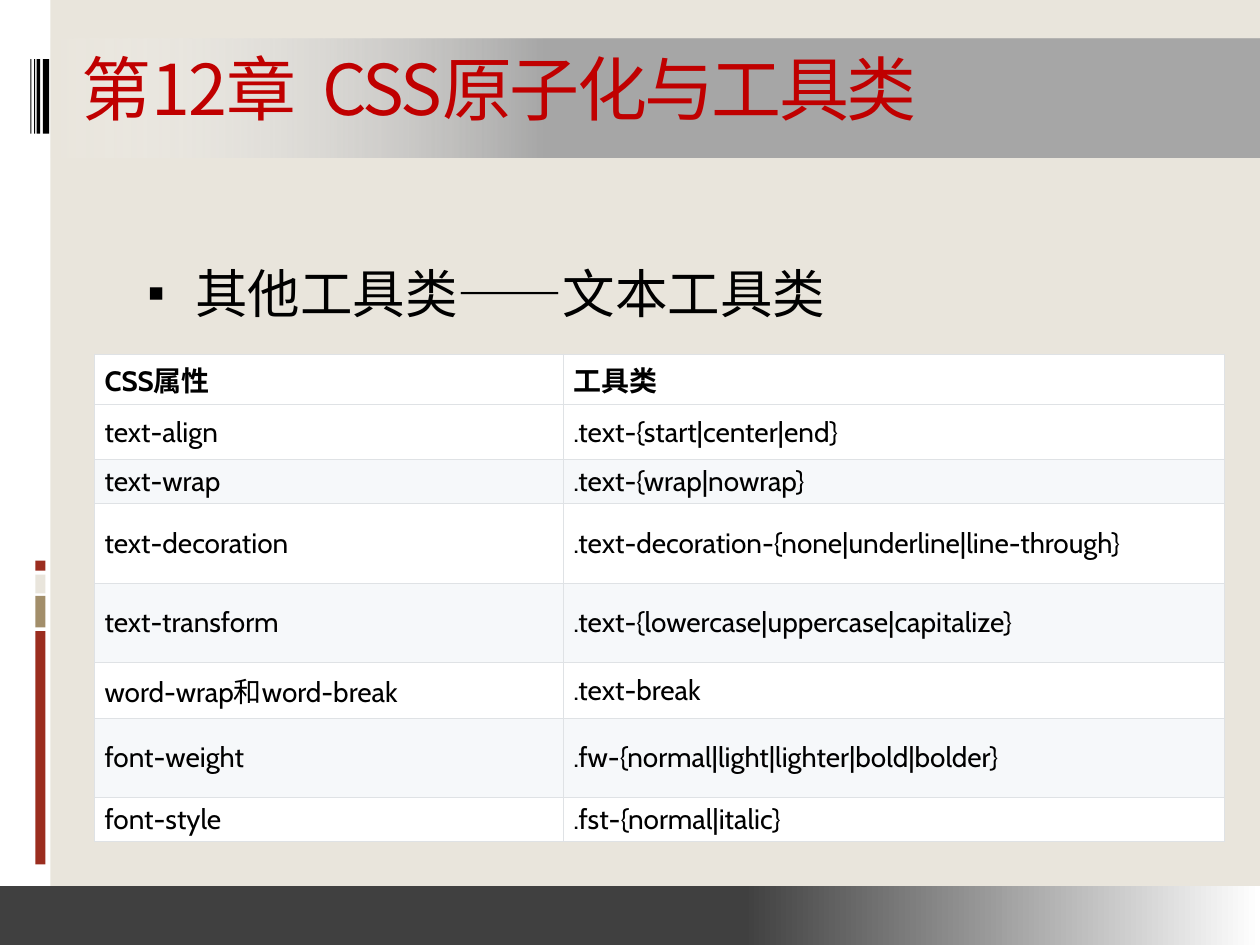
import dataclasses
import typing

import lxml.etree
import pptx
import pptx.dml.color
import pptx.enum.shapes
import pptx.enum.text
import pptx.oxml.ns
import pptx.util

COLORS = {
    "background": "E9E5DC", "white": "FFFFFF", "black": "000000",
    "brick": "9B2D1F", "tan": "A28E6A", "title": "C00000",
    "band": "A6A6A6", "footer": "404040", "stripe": "F6F8FA", "border": "DFE2E5",
}
LATIN_FONT = "Cabin"
CHINESE_FONT = "Noto Sans CJK SC"
ROWS = [
    ("CSS属性", "工具类", 1),
    ("text-align", ".text-{start|center|end}", 1.76),
    ("text-wrap", ".text-{wrap|nowrap}", 1),
    ("text-decoration", ".text-decoration-{none|underline|line-through}", 2.52),
    ("text-transform", ".text-{lowercase|uppercase|capitalize}", 2.52),
    ("word-wrap和word-break", ".text-break", 1.76),
    ("font-weight", ".fw-{normal|light|lighter|bold|bolder}", 2.52),
    ("font-style", ".fst-{normal|italic}", 1),
]


def grid(units):
    """Convert units of a 40 by 30 grid to slide lengths."""
    return pptx.util.Inches(units * 0.25)


def rgb(name):
    """Return a named color."""
    return pptx.dml.color.RGBColor.from_string(COLORS[name])


def add_element(parent, tag, **attributes):
    """Append a drawing element to its parent."""
    return lxml.etree.SubElement(parent, pptx.oxml.ns.qn(tag), **attributes)


def write_text(frame, text, *, size, color="black", font=LATIN_FONT, bold=False, spacing=None):
    """Write one formatted paragraph and return it."""
    frame.word_wrap = True
    paragraph = frame.paragraphs[0]
    paragraph.alignment = pptx.enum.text.PP_ALIGN.LEFT
    run = paragraph.add_run()
    run.text = text
    run.font.size = pptx.util.Pt(size)
    run.font.bold = bold
    run.font.color.rgb = rgb(color)
    run.font.name = font
    properties = run.font._element
    add_element(properties, "a:ea", typeface=CHINESE_FONT)
    if spacing is not None:
        properties.set("spc", str(round(spacing * 100)))
    return paragraph


@dataclasses.dataclass
class SlideBuilder:
    """Hold the table style and the current slide."""

    slide: typing.Any
    table_size: float = 16
    border_width: float = 0.5

    def background(self, color):
        """Fill the slide background."""
        fill = self.slide.background.fill
        fill.solid()
        fill.fore_color.rgb = rgb(color)

    def rectangle(self, left, top, width, height, color):
        """Add a plain rectangle."""
        shape = self.slide.shapes.add_shape(
            pptx.enum.shapes.MSO_SHAPE.RECTANGLE, *map(grid, (left, top, width, height)))
        shape.shadow.inherit = False
        shape.line.fill.background()
        shape.fill.solid()
        shape.fill.fore_color.rgb = rgb(color)
        return shape

    def fading_band(self, left, top, width, height, color, rotation=0, transparent=False):
        """Add a band that fades to white or to nothing."""
        shape = self.rectangle(left, top, width, height, color)
        shape.rotation = rotation
        shape.fill.gradient()
        shape.fill.gradient_angle = 0
        stops = shape.fill.gradient_stops
        for stop, position, name in zip(stops, (0.59, 1), (color, "white")):
            stop.position = position
            stop.color.rgb = rgb(name)
        if transparent:
            color_element = shape.fill._xPr.findall(".//" + pptx.oxml.ns.qn("a:srgbClr"))[-1]
            add_element(color_element, "a:alpha", val="0")

    def placeholder(self, index, left, top, width, height):
        """Move a placeholder into place, in front of the decoration."""
        shape = self.slide.placeholders[index]
        shape.left, shape.top, shape.width, shape.height = map(grid, (left, top, width, height))
        self.slide.shapes._spTree.append(shape._element)
        return shape.text_frame

    def title(self, text, *box):
        """Fill the title placeholder."""
        frame = self.placeholder(0, *box)
        frame.vertical_anchor = pptx.enum.text.MSO_ANCHOR.MIDDLE
        write_text(frame, text, size=40, color="title", font=CHINESE_FONT, spacing=-1.5)

    def bullet(self, text, *box):
        """Fill the body placeholder with a bulleted line."""
        paragraph = write_text(self.placeholder(1, *box), text, size=30)
        paragraph.line_spacing = 1.14
        paragraph.space_before = pptx.util.Pt(7)
        properties = paragraph._p.get_or_add_pPr()
        properties.set("marL", str(pptx.util.Inches(0.45)))
        properties.set("indent", str(pptx.util.Inches(-0.38)))
        add_element(properties, "a:buSzPct", val="95000")
        add_element(properties, "a:buChar", char="▪")

    def cell(self, cell, text, fill, bold):
        """Fill, border and write one table cell."""
        cell.margin_left = cell.margin_right = pptx.util.Inches(0.08)
        cell.margin_top = cell.margin_bottom = pptx.util.Inches(0.04)
        cell.vertical_anchor = pptx.enum.text.MSO_ANCHOR.MIDDLE
        properties = cell._tc.get_or_add_tcPr()
        for side in ("a:lnL", "a:lnR", "a:lnT", "a:lnB"):
            line = add_element(properties, side, w=str(pptx.util.Pt(self.border_width)))
            add_element(add_element(line, "a:solidFill"), "a:srgbClr", val=COLORS["border"])
        cell.fill.solid()
        cell.fill.fore_color.rgb = rgb(fill)
        write_text(cell.text_frame, text, size=self.table_size, bold=bold)

    def table(self, left, top, widths, rows):
        """Add a striped table with a bold heading row."""
        height = sum(row[-1] for row in rows)
        table = self.slide.shapes.add_table(
            len(rows), len(widths), *map(grid, (left, top, sum(widths), height))).table
        table.first_row = table.horz_banding = False
        for column, width in zip(table.columns, widths):
            column.width = grid(width)
        for index, (*texts, row_height) in enumerate(rows):
            table.rows[index].height = grid(row_height)
            fill = "stripe" if index and index % 2 == 0 else "white"
            for column, text in enumerate(texts):
                self.cell(table.cell(index, column), text, fill, bold=index == 0)


def main():
    """Build and save the slide."""
    presentation = pptx.Presentation()
    presentation.slide_width, presentation.slide_height = grid(40), grid(30)
    builder = SlideBuilder(presentation.slides.add_slide(presentation.slide_layouts[1]))
    builder.background("background")
    builder.rectangle(0, 0, 1.6, 30, "white")
    for top, height, color in [(20.04, 7.4, "brick"), (18.92, 1, "tan"),
                               (18.24, 0.6, "background"), (17.8, 0.32, "brick")]:
        builder.rectangle(1.12, top, 0.32, height, color)
    for left, width in [(1.36, 0.2), (1.16, 0.12), (1.08, 0.04), (0.96, 0.04)]:
        builder.rectangle(left, 1.88, width, 2.36, "black")
    builder.fading_band(1.56, 1.24, 38.44, 3.76, "band", rotation=180, transparent=True)
    builder.fading_band(0, 28.12, 40, 1.88, "footer")
    builder.title("第12章  CSS原子化与工具类", 2.2, 1.24, 34, 3.08)
    builder.bullet("其他工具类——文本工具类", 4, 7.8, 34, 20)
    builder.table(3, 11.24, (14.88, 21), ROWS)
    presentation.save("out.pptx")


if __name__ == "__main__":
    main()
